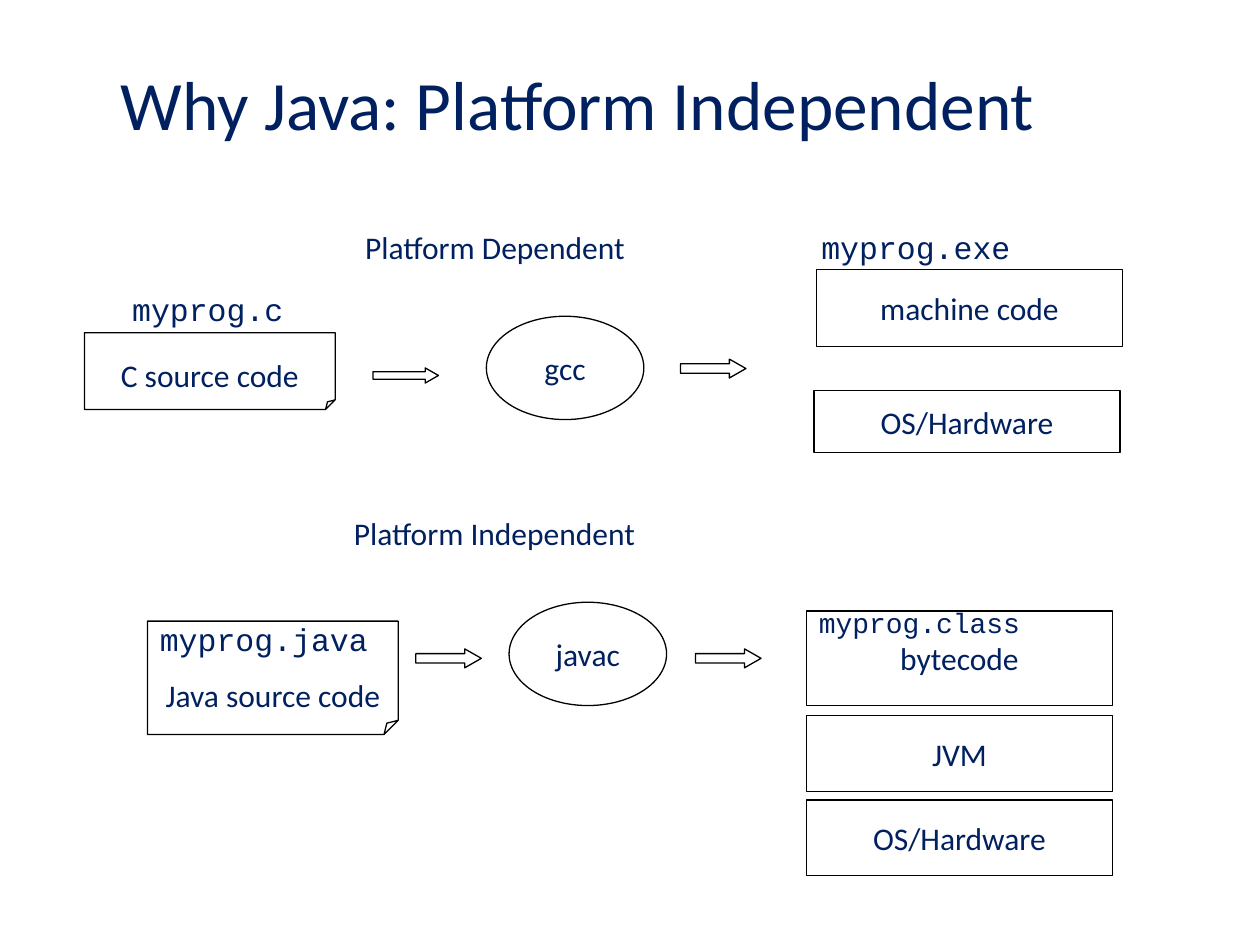
import lxml.etree
import pptx
import pptx.util
import pptx.dml.color
import pptx.enum.shapes
import pptx.enum.text
import pptx.oxml.ns

PX = 9144
COLORS = {"text": "002060", "line": "000000"}
SHAPE = pptx.enum.shapes.MSO_SHAPE
ANCHOR = pptx.enum.text.MSO_ANCHOR
ALIGN = pptx.enum.text.PP_ALIGN


def write(box, text, size=18, font="Calibri", align=ALIGN.CENTER, anchor=ANCHOR.MIDDLE, wrap=True):
    frame = box.text_frame
    frame.text = text
    frame.word_wrap = wrap
    frame.vertical_anchor = anchor
    para = frame.paragraphs[0]
    para.alignment = align
    span = para.runs[0]
    span.font.size = pptx.util.Pt(size)
    span.font.name = font
    span.font.color.rgb = pptx.dml.color.RGBColor.from_string(COLORS["text"])


def outline(kind, left, top, width, height):
    shape = page.shapes.add_shape(kind, left * PX, top * PX, width * PX, height * PX)
    shape.shadow.inherit = False
    shape.fill.background()
    shape.line.color.rgb = pptx.dml.color.RGBColor.from_string(COLORS["line"])
    shape.line.width = pptx.util.Pt(0.75)
    return shape


deck = pptx.Presentation()
deck.slide_width = 1000 * PX
deck.slide_height = 750 * PX
page = deck.slides.add_slide(deck.slide_layouts[5])

title = page.shapes.title
title.left, title.top, title.width, title.height = 75 * PX, 30 * PX, 767 * PX, 103 * PX
write(title, "Why Java: Platform Independent", size=39.6)

target_boxes = [
    ("machine code", 648, 214, 61),
    ("OS/Hardware", 646, 310, 49),
    ("bytecode", 640, 485, 75),
    ("JVM", 640, 568, 60),
    ("OS/Hardware", 640, 635, 60),
]
for text, left, top, height in target_boxes:
    write(outline(SHAPE.RECTANGLE, left, top, 243, height), text, wrap=False)

source_files = [("C source code", 67, 264, 61), ("Java source code", 117, 493, 90)]
for text, left, top, height in source_files:
    note = outline(SHAPE.FOLDED_CORNER, left, top, 199, height)
    fold_list = note._element.spPr.find(".//" + pptx.oxml.ns.qn("a:avLst"))
    lxml.etree.SubElement(fold_list, pptx.oxml.ns.qn("a:gd"), name="adj", fmla="val 12500")
    write(note, text, anchor=ANCHOR.BOTTOM)

for text, left, top in [("gcc", 386, 251), ("javac", 404, 478)]:
    write(outline(SHAPE.OVAL, left, top, 125, 82), text, wrap=False)

for left, top, height in [(296, 292, 12), (540, 285, 15), (330, 515, 15), (552, 515, 15)]:
    arrow = outline(SHAPE.RIGHT_ARROW, left, top, 52, height)
    arrow.adjustments[0] = 0.5
    arrow.adjustments[1] = 0.875

labels = [
    ("Platform Dependent", 280, 176, 361, 18, "Calibri"),
    ("Platform Independent", 271, 403, 361, 18, "Calibri"),
    ("myprog.c", 95, 225, 155, 18, "Courier New"),
    ("myprog.exe", 642, 176, 199, 18, "Courier New"),
    ("myprog.java", 117, 487, 192, 18, "Courier New"),
    ("myprog.class", 640, 476, 199, 16, "Courier New"),
]
for text, left, top, width, size, font in labels:
    label = page.shapes.add_textbox(left * PX, top * PX, width * PX, 40 * PX)
    write(label, text, size, font, ALIGN.LEFT, ANCHOR.TOP)

deck.save("out.pptx")
